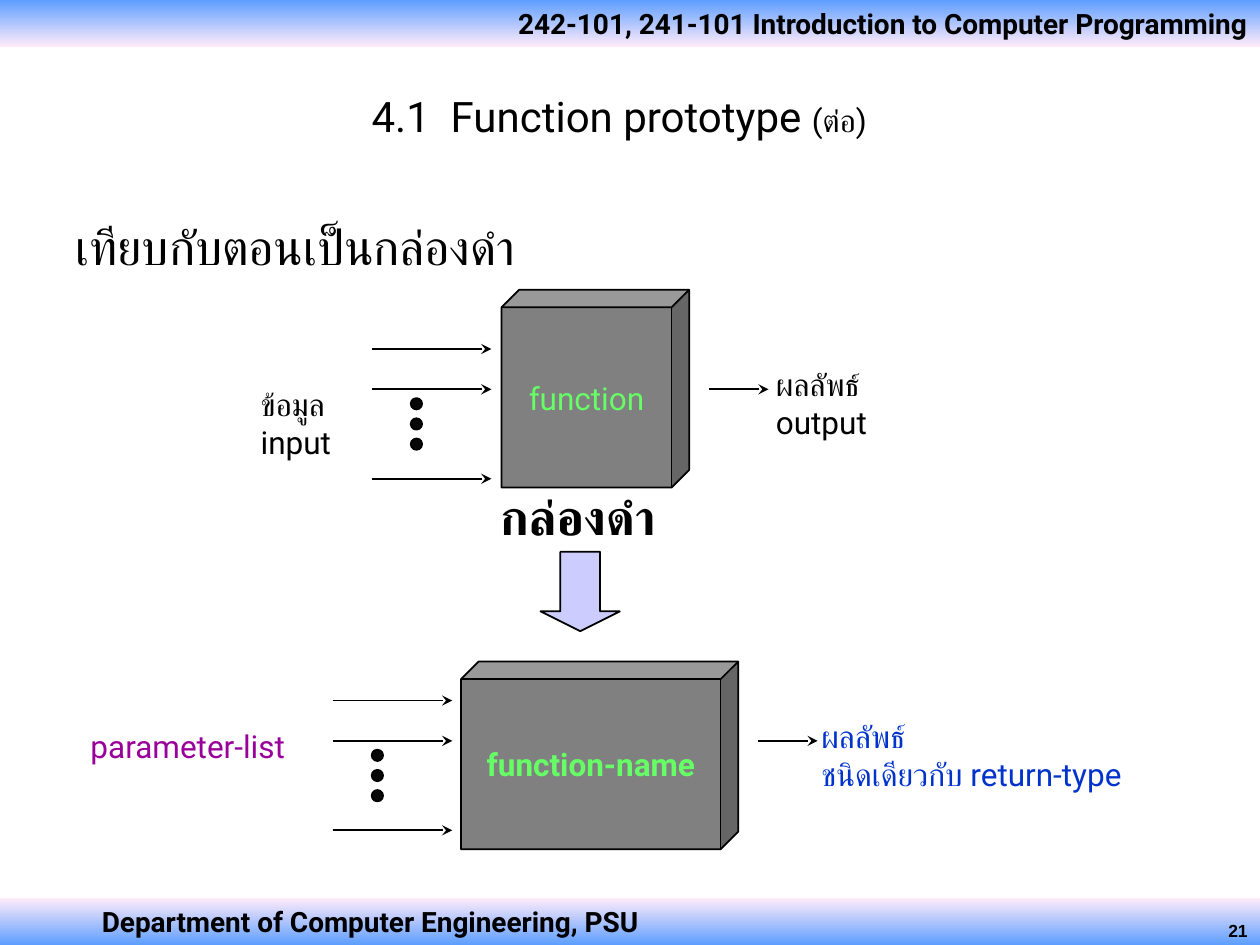
"""Builds the slide comparing a black box with a function prototype."""
from lxml import etree
from pptx import Presentation
from pptx.dml.color import RGBColor
from pptx.enum.shapes import MSO_CONNECTOR, MSO_SHAPE
from pptx.enum.text import MSO_ANCHOR, PP_ALIGN
from pptx.oxml.ns import qn
from pptx.util import Inches, Pt

RECT, CUBE = MSO_SHAPE.RECTANGLE, MSO_SHAPE.CUBE
OVAL, DOWN_ARROW = MSO_SHAPE.OVAL, MSO_SHAPE.DOWN_ARROW
LEFT, CENTER, RIGHT = PP_ALIGN.LEFT, PP_ALIGN.CENTER, PP_ALIGN.RIGHT
TOP, MIDDLE = MSO_ANCHOR.TOP, MSO_ANCHOR.MIDDLE
STRAIGHT = MSO_CONNECTOR.STRAIGHT

BLACK, GRAY, GREEN, PURPLE, BLUE = "000000", "808080", "66FF66", "990099", "0033CC"
SKY, PINK, LILAC, DOT = "5E9EFF", "FFEBFA", "CCCCFF", "080808"

BANDS = [
    (0, (SKY, PINK), "242-101, 241-101 Introduction to Computer Programming", RIGHT, 0),
    (7.13, (PINK, SKY), "Department of Computer Engineering, PSU", LEFT, 0.71),
]
TITLE = [("4.1  Function prototype ", 24), ("(ต่อ)", 18)]
BULLET = "เทียบกับตอนเป็นกล่องดำ"
DIAGRAMS = [
    {
        "cube": (3.98, 2.3, 1.49, 1.57), "name": "function", "bold": False,
        "inputs": (2.95, 2.77), "output": (5.63, 3.09),
        "labels": [
            ((1.97, 3.01, 0.82, 0.7), ["ข้อมูล", "input"], 18, BLACK, False),
            ((6.06, 2.85, 1, 0.7), ["ผลลัพธ์", "output"], 18, BLACK, False),
            ((3.87, 3.81, 1.44, 0.57), ["กล่องดำ"], 28, BLACK, True),
        ],
    },
    {
        "cube": (3.66, 5.25, 2.2, 1.49), "name": "function-name", "bold": True,
        "inputs": (2.64, 5.56), "output": (6.02, 5.88),
        "labels": [
            ((0.62, 5.72, 1.87, 0.4), ["parameter-list"], 18, PURPLE, False),
            ((6.42, 5.64, 2.73, 0.7), ["ผลลัพธ์", "ชนิดเดียวกับ return-type"], 18, BLUE, False),
        ],
    },
]
INPUT_OFFSETS = (0, 0.32, 1.03)
INPUT_LENGTH, OUTPUT_LENGTH = 0.95, 0.47
DOT_LEFT, DOT_TOP, DOT_STEP, DOT_SIZE = 0.31, 0.39, 0.16, 0.09


def rgb(value):
    return RGBColor.from_string(value)


def set_font(target, size, color=BLACK, bold=False, name="Roboto"):
    font = target.font
    font.size, font.bold, font.name = Pt(size), bold, name
    font.color.rgb = rgb(color)


def write(sp, lines, size, color=BLACK, bold=False, align=LEFT, anchor=TOP,
          wrap=False, name="Roboto"):
    tf = sp.text_frame
    tf.word_wrap, tf.vertical_anchor = wrap, anchor
    tf.text = "\n".join(lines)
    for p in tf.paragraphs:
        p.alignment = align
        set_font(p, size, color, bold, name)
    return tf.paragraphs[0]


def add_text(shapes, box, lines, size, **style):
    sp = shapes.add_textbox(*map(Inches, box))
    return write(sp, lines, size, **style)


def add_shape(shapes, kind, box, fill):
    sp = shapes.add_shape(kind, *map(Inches, box))
    sp.shadow.inherit = False
    sp.fill.solid()
    sp.fill.fore_color.rgb = rgb(fill)
    sp.line.color.rgb = rgb(BLACK)
    sp.line.width = Pt(1)
    return sp


def add_arrow(shapes, x, y, length):
    line = shapes.add_connector(STRAIGHT, *map(Inches, (x, y, x + length, y)))
    line.line.color.rgb = rgb(BLACK)
    line.line.width = Pt(1)
    etree.SubElement(line.line._get_or_add_ln(), qn("a:tailEnd"), type="stealth")
    etree.SubElement(line._element.spPr, qn("a:effectLst"))


def add_band(shapes, top, colors, text, align, indent):
    sp = add_shape(shapes, RECT, (0, top, 10, 0.37), colors[0])
    sp.line.fill.background()
    sp.fill.gradient()
    sp.fill.gradient_angle = 270
    for stop, color, position in zip(sp.fill.gradient_stops, colors, (0, 1)):
        stop.color.rgb = rgb(color)
        stop.position = position
    p = write(sp, [text], 16, bold=True, align=align, wrap=True)
    p._p.get_or_add_pPr().set("marL", str(Inches(indent)))


def add_bullet(p):
    pPr = p._p.get_or_add_pPr()
    pPr.set("marL", str(Inches(0.67)))
    pPr.set("indent", str(Inches(-0.67)))
    color = etree.SubElement(pPr, qn("a:buClr"))
    etree.SubElement(color, qn("a:srgbClr"), val=GRAY)
    etree.SubElement(pPr, qn("a:buChar"), char="•")


def add_diagram(shapes, diagram):
    cube = add_shape(shapes, CUBE, diagram["cube"], GRAY)
    cube.adjustments[0] = 0.094
    write(cube, [diagram["name"]], 18, GREEN, diagram["bold"], CENTER, MIDDLE)
    x, y = diagram["inputs"]
    for offset in INPUT_OFFSETS:
        add_arrow(shapes, x, y + offset, INPUT_LENGTH)
    for i in range(3):
        top = y + DOT_TOP + i * DOT_STEP
        add_shape(shapes, OVAL, (x + DOT_LEFT, top, DOT_SIZE, DOT_SIZE), DOT)
    add_arrow(shapes, *diagram["output"], OUTPUT_LENGTH)
    for box, lines, size, color, bold in diagram["labels"]:
        add_text(shapes, box, lines, size, color=color, bold=bold)


def main():
    prs = Presentation()
    prs.slide_width, prs.slide_height = Inches(10), Inches(7.5)
    s = prs.slides.add_slide(prs.slide_layouts[6])
    for band in BANDS:
        add_band(s.shapes, *band)
    add_text(s.shapes, (7.92, 7.25, 2.08, 0.25), ["21"], 10, bold=True,
             align=RIGHT, wrap=True, name="Arial")

    sp = s.shapes.add_textbox(*map(Inches, (0.5, 1.67, 8.83, 0.69)))
    p = sp.text_frame.paragraphs[0]
    p.line_spacing = 1.05
    add_bullet(p)
    write(sp, [BULLET], 28, wrap=True)

    p = add_text(s.shapes, (0.5, 0.42, 8.83, 1), [""], 24,
                 align=CENTER, anchor=MIDDLE, wrap=True)
    for text, size in TITLE:
        r = p.add_run()
        r.text = text
        set_font(r, size)

    add_diagram(s.shapes.add_group_shape().shapes, DIAGRAMS[0])
    arrow = add_shape(s.shapes, DOWN_ARROW, (4.29, 4.38, 0.63, 0.63), LILAC)
    arrow.adjustments[1] = 0.25
    add_diagram(s.shapes.add_group_shape().shapes, DIAGRAMS[1])
    prs.save("out.pptx")


if __name__ == "__main__":
    main()
